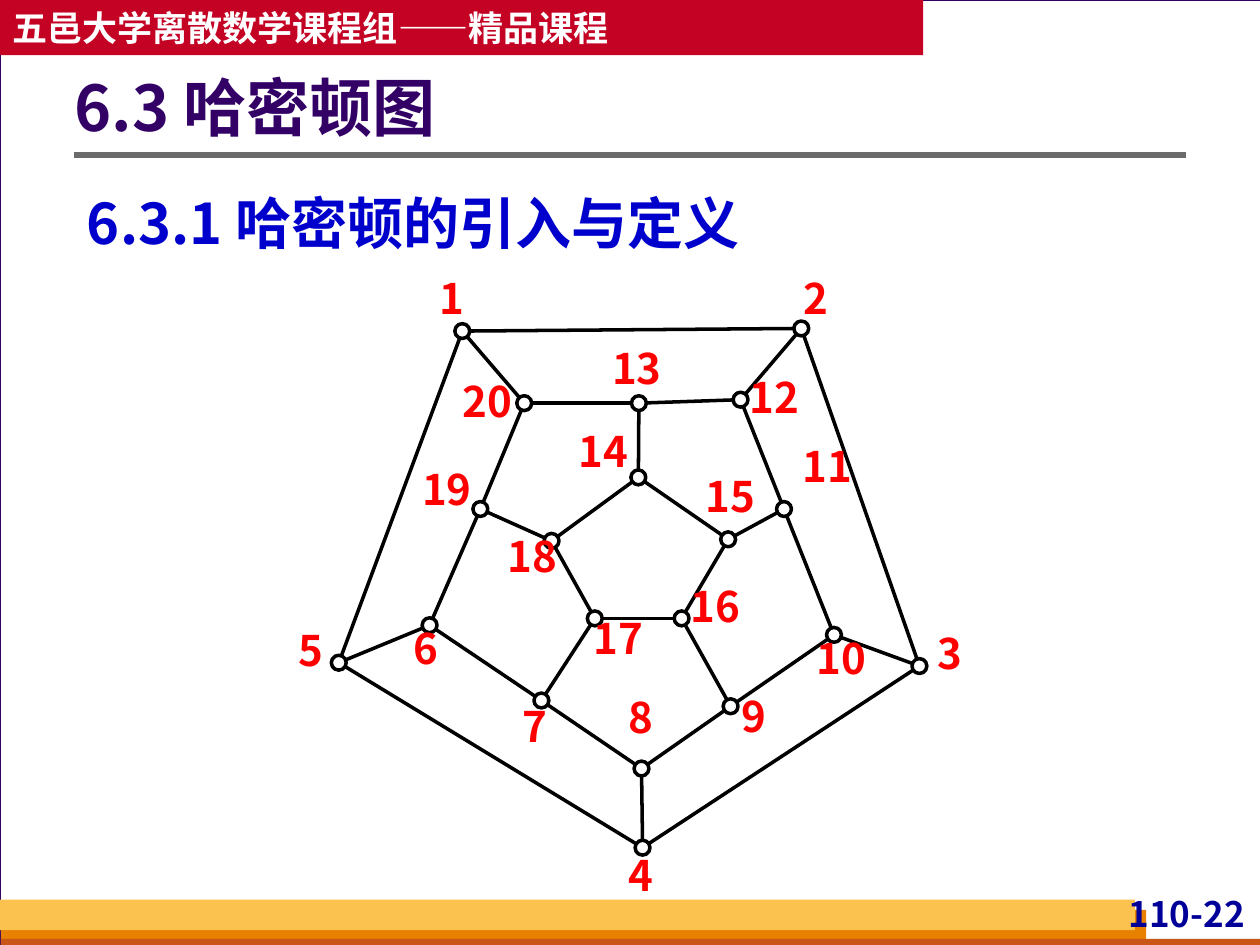
"""Build the slide that introduces Hamiltonian graphs with the dodecahedron puzzle."""
from math import hypot

from lxml import etree
from pptx import Presentation
from pptx import util as u
from pptx.dml.color import RGBColor
from pptx.enum import shapes, text
from pptx.oxml.ns import qn

FONT = "Noto Sans CJK SC"
BANNER = "五邑大学离散数学课程组——精品课程"
TITLE = "6.3 哈密顿图"
SUBTITLE = "6.3.1 哈密顿的引入与定义"
PAGE = "110-22"

FRAME = (0, 0, 720.5, 540, "FFFFFF")
BARS = [
    (0.5, 520, 654.5, 20, "E88000"),
    (0.5, 536.5, 720, 5.5, "C95616"),
    (0, 514, 648.5, 17.5, "FCC24F"),
]
# Each city: centre x, centre y, label left, label top.
CITIES = [
    (264.2, 189.2, 249.8, 155.5), (457.9, 187.7, 457.9, 155.5),
    (525.4, 380.6, 534.2, 358.6), (367.2, 484.4, 357.8, 485.3),
    (193.6, 378.7, 169.2, 357.1), (245.5, 357.3, 234.7, 355.7),
    (309.4, 400.3, 297.4, 400.3), (366.6, 439.2, 357.8, 395.3),
    (417.5, 403.6, 422.6, 394.6), (476.6, 362.8, 463.7, 361.4),
    (448, 290.9, 455.8, 252), (423.2, 228.4, 425.5, 212.4),
    (365.1, 230.4, 347, 195.8), (364.8, 272.8, 327.6, 243.4),
    (416.1, 308.2, 400.3, 268.6), (389.5, 353.4, 391.7, 331.9),
    (339.9, 353.4, 336.2, 349.9), (315.2, 309.1, 287.3, 303.1),
    (274.5, 290.9, 238.3, 265), (299.6, 230.4, 261.4, 214.6),
]
CHORDS = [(1, 5), (2, 12), (3, 10), (4, 8), (6, 19), (7, 17), (9, 16), (11, 15), (13, 20), (14, 18)]
RADIUS = 4.25


def colour(value):
    return RGBColor.from_string(value)


def points(*values):
    return [u.Pt(value) for value in values]


def add_block(parent, kind, left, top, width, height, fill, line=None, weight=0.75):
    block = parent.add_shape(kind, *points(left, top, width, height))
    block.shadow.inherit = False
    block.fill.solid()
    block.fill.fore_color.rgb = colour(fill)
    if line:
        block.line.color.rgb = colour(line)
        block.line.width = u.Pt(weight)
    else:
        block.line.fill.background()
    return block


def add_line(parent, start, end, line, weight):
    stroke = parent.add_connector(shapes.MSO_CONNECTOR.STRAIGHT, *points(*start, *end))
    stroke.line.color.rgb = colour(line)
    stroke.line.width = u.Pt(weight)
    etree.SubElement(stroke._element.spPr, qn("a:effectLst"))


def write(shape, words, size, ink, align, insets, anchor=text.MSO_ANCHOR.MIDDLE, wrap=True, spacing=1.0):
    frame = shape.text_frame
    frame.text = words
    frame.auto_size = text.MSO_AUTO_SIZE.NONE
    frame.word_wrap = wrap
    frame.vertical_anchor = anchor
    frame.margin_left, frame.margin_top, frame.margin_right, frame.margin_bottom = points(*insets)
    paragraph = frame.paragraphs[0]
    paragraph.alignment = align
    paragraph.line_spacing = spacing
    paragraph.space_before = u.Pt(0)
    for run in paragraph.runs:
        run.font.size = u.Pt(size)
        run.font.bold = True
        run.font.name = FONT
        run.font.color.rgb = colour(ink)
        etree.SubElement(run.font._element, qn("a:ea"), typeface=FONT)


def place(shape, left, top, width, height):
    shape.left, shape.top, shape.width, shape.height = points(left, top, width, height)


def draw_template(slide):
    slide.background.fill.solid()
    slide.background.fill.fore_color.rgb = colour("D8DADA")
    rectangle = shapes.MSO_SHAPE.RECTANGLE
    add_block(slide.shapes, rectangle, *FRAME, "330066")
    banner = add_block(slide.shapes, rectangle, 0, 0, 527.5, 31.5, "C30224")
    write(banner, BANNER, 20, "FFFFFF", text.PP_ALIGN.LEFT, (7.2, 3.6, 7.2, 3.6), wrap=False)
    for bar in BARS:
        add_block(slide.shapes, rectangle, *bar)
    page = slide.shapes.add_textbox(*points(626.5, 510, 88, 24))
    write(page, PAGE, 20, "000099", text.PP_ALIGN.RIGHT, (3, 0, 3, 0))
    add_line(slide.shapes, (42.5, 88.5), (677.5, 88.5), "6B6B6B", 3)


def fill_placeholders(slide):
    title, body = slide.shapes.title, slide.placeholders[1]
    place(title, 42.5, 27.5, 635, 72.5)
    write(title, TITLE, 36, "330066", text.PP_ALIGN.LEFT, (0, 3.6, 7.2, 3.6), spacing=0.9)
    place(body, 42.5, 96.5, 635, 53.5)
    write(body, SUBTITLE, 32, "0000CC", text.PP_ALIGN.JUSTIFY, (7.2, 3.6, 7.2, 3.6),
          anchor=text.MSO_ANCHOR.TOP, spacing=1.2)
    properties = body.text_frame.paragraphs[0]._p.get_or_add_pPr()
    properties.set("marL", "0")
    properties.set("indent", "0")
    etree.SubElement(properties, qn("a:buNone"))
    for placeholder in (title, body):
        slide.shapes._spTree.append(placeholder._element)


def draw_graph(slide):
    graph = slide.shapes.add_group_shape().shapes
    count = len(CITIES)
    circuit = [(city, city % count + 1) for city in range(1, count + 1)]
    for first, second in circuit + CHORDS:
        (x1, y1), (x2, y2) = CITIES[first - 1][:2], CITIES[second - 1][:2]
        trim = RADIUS / hypot(x2 - x1, y2 - y1)
        dx, dy = (x2 - x1) * trim, (y2 - y1) * trim
        add_line(graph, (x1 + dx, y1 + dy), (x2 - dx, y2 - dy), "000000", 2)
    for x, y, _, _ in CITIES:
        add_block(graph, shapes.MSO_SHAPE.OVAL, x - RADIUS, y - RADIUS,
                  2 * RADIUS, 2 * RADIUS, "FFFFFF", "000000", 2)
    for number, (_, _, left, top) in enumerate(CITIES, 1):
        label = graph.add_textbox(*points(left, top, 17 * len(str(number)), 28.8))
        write(label, str(number), 24, "FF0000", text.PP_ALIGN.CENTER, (0, 0, 0, 0))


def main():
    deck = Presentation()
    deck.slide_width, deck.slide_height = points(720, 540)
    slide = deck.slides.add_slide(deck.slide_layouts[1])
    draw_template(slide)
    fill_placeholders(slide)
    draw_graph(slide)
    deck.save("out.pptx")


if __name__ == "__main__":
    main()
